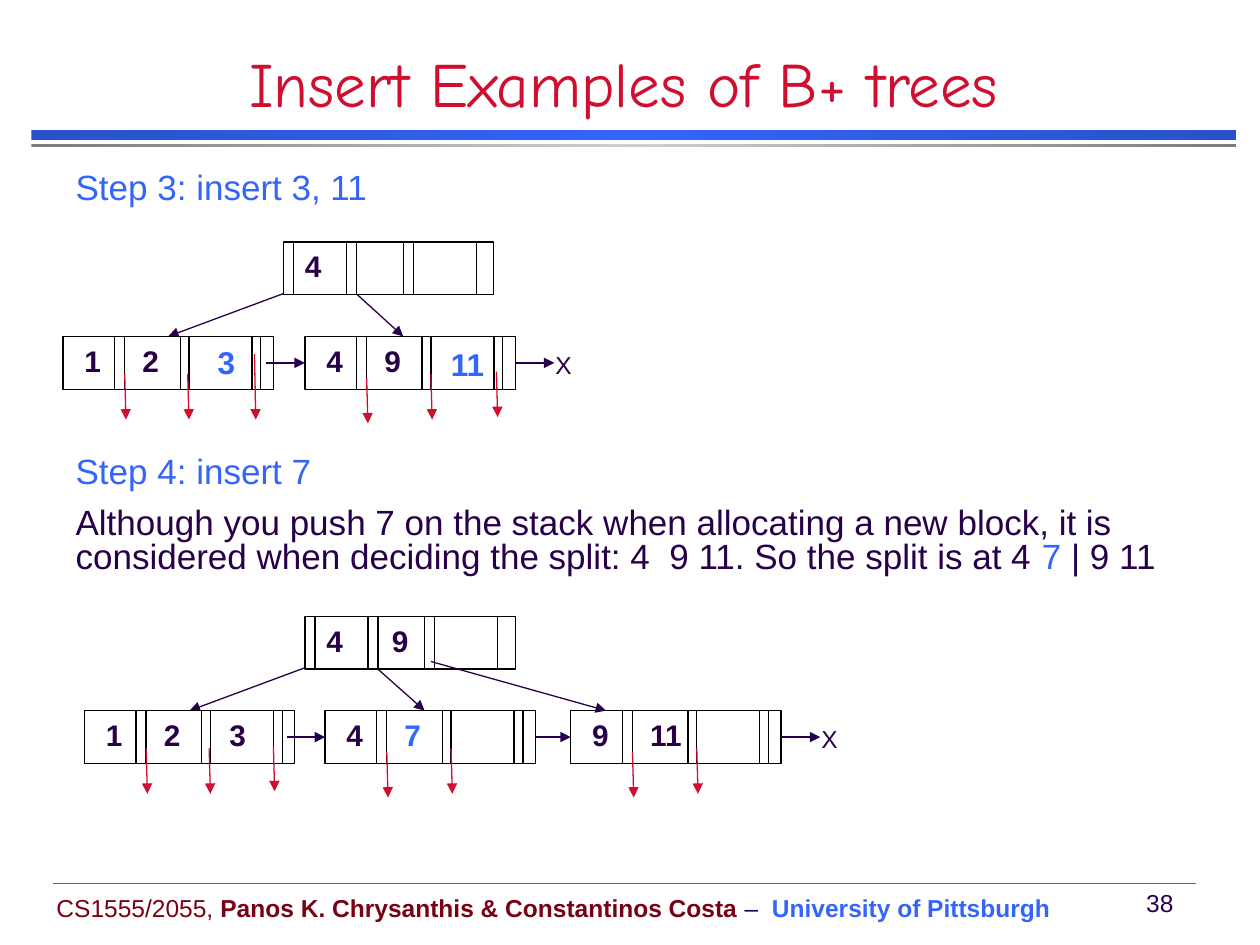
from copy import deepcopy

from lxml import etree
from pptx import Presentation
from pptx.dml.color import RGBColor
from pptx.enum.shapes import MSO_CONNECTOR as CONNECTOR, MSO_SHAPE as SHAPE
from pptx.enum.text import MSO_ANCHOR as ANCHOR, MSO_AUTO_SIZE as AUTOSIZE, PP_ALIGN as ALIGN
from pptx.oxml.ns import qn
from pptx.util import Inches, Pt

INK, BLUE, RED, MAROON = "280049", "3365FB", "CF0E30", "790015"
BLACK, WHITE, TEAL, KEY_BLUE = "000000", "FFFFFF", "009688", "3366FF"

NODE_W, NODE_H = 1.67, 0.42
LEVEL_GAP = 0.75
KEY_INSET = 0.17
LEAF_TABS, ROOT_TABS = (0.46, 0.98), (0.52,)
LEAF_DIVIDERS = (0.41, 0.49, 0.93, 1.0, 1.5, 1.57)
ROOT_DIVIDERS = (0.08, 0.5, 0.58, 0.95, 1.03, 1.53)
RIGHT, LEFT, TOP = 3, 1, 0


def rgb(color):
    return RGBColor.from_string(color)


class TreeSlide:
    """Holds the slide and the style of its text, nodes and arrows."""

    def __init__(self, slide, font="Arial"):
        self.slide = slide
        self.shapes = slide.shapes
        self.font = font

    def place(self, shape, x, y, w, h):
        shape.left, shape.top, shape.width, shape.height = map(Inches, (x, y, w, h))

    def style(self, paragraph, size, color=None, bold=False, font=None):
        paragraph.font.name = font or self.font
        paragraph.font.size = Pt(size)
        paragraph.font.bold = bold
        if color:
            paragraph.font.color.rgb = rgb(color)

    def add_runs(self, paragraph, runs):
        """Each run is (text, color) or (text, color, bold)."""
        for text, color, *bold in runs:
            run = paragraph.add_run()
            run.text = text
            run.font.color.rgb = rgb(color)
            if bold:
                run.font.bold = bold[0]

    def title(self, text, at):
        title = self.shapes.title
        self.place(title, *at)
        frame = title.text_frame
        frame.text = text
        frame.auto_size = AUTOSIZE.NONE
        frame.vertical_anchor = ANCHOR.BOTTOM
        frame.paragraphs[0].alignment = ALIGN.CENTER
        self.style(frame.paragraphs[0], 36, RED, font="Comic Neue")

    def body(self, index, at, *paragraphs):
        body = self.slide.placeholders[index]
        self.place(body, *at)
        frame = body.text_frame
        frame.auto_size = AUTOSIZE.NONE
        for number, runs in enumerate(paragraphs):
            paragraph = frame.add_paragraph() if number else frame.paragraphs[0]
            properties = paragraph._p.get_or_add_pPr()
            properties.set("marL", "0")
            properties.set("indent", "0")
            etree.SubElement(properties, qn("a:buNone"))
            paragraph.line_spacing = 0.8
            paragraph.space_before = Pt(10 if number else 0)
            self.style(paragraph, 20)
            self.add_runs(paragraph, runs)

    def text(self, at, runs, size, bold=False, wrap=False, align=None, anchor=ANCHOR.TOP):
        box = self.shapes.add_textbox(*map(Inches, at))
        frame = box.text_frame
        frame.word_wrap = wrap
        frame.vertical_anchor = anchor
        paragraph = frame.paragraphs[0]
        paragraph.alignment = align
        self.style(paragraph, size, bold=bold)
        self.add_runs(paragraph, runs)

    def gradient_bar(self, at, edge, middle):
        bar = self.shapes.add_shape(SHAPE.RECTANGLE, *map(Inches, at))
        bar.shadow.inherit = False
        bar.line.fill.background()
        bar.fill.gradient()
        bar.fill.gradient_angle = 0
        stop_list = bar._element.spPr.find(".//" + qn("a:gsLst"))
        stop_list.append(deepcopy(stop_list[0]))
        for stop, position, color in zip(bar.fill.gradient_stops, (0, 0.5, 1), (edge, middle, edge)):
            stop.position = position
            stop.color.rgb = rgb(color)

    def line(self, x1, y1, x2, y2, color=BLACK, width=0.75, arrow=False):
        line = self.shapes.add_connector(CONNECTOR.STRAIGHT, *map(Inches, (x1, y1, x2, y2)))
        line.line.color.rgb = rgb(color)
        line.line.width = Pt(width)
        if arrow:
            etree.SubElement(line.line._get_or_add_ln(), qn("a:tailEnd"), type="triangle")
        etree.SubElement(line._element.spPr, qn("a:effectLst"))
        return line

    def node(self, x, y, keys, dividers, tabs):
        node = self.shapes.add_shape(SHAPE.RECTANGLE, *map(Inches, (x, y, NODE_W, NODE_H)))
        node.shadow.inherit = False
        node.fill.solid()
        node.fill.fore_color.rgb = rgb(WHITE)
        node.line.color.rgb = rgb(BLACK)
        node.line.width = Pt(0.75)
        frame = node.text_frame
        frame.margin_left = Inches(KEY_INSET)
        frame.vertical_anchor = ANCHOR.TOP
        paragraph = frame.paragraphs[0]
        paragraph.alignment = ALIGN.LEFT
        tab_list = etree.SubElement(paragraph._p.get_or_add_pPr(), qn("a:tabLst"))
        for tab in tabs:
            etree.SubElement(tab_list, qn("a:tab"), pos=str(Inches(tab)), algn="l")
        self.style(paragraph, 17, bold=True)
        self.add_runs(paragraph, keys)
        for dx in dividers:
            self.line(x + dx, y, x + dx, y + NODE_H)
        return node

    def tree(self, root, leaves, child_pointers):
        """root is (x, y, keys); a leaf is (x, keys, data pointers)."""
        root_x, root_y, root_keys = root
        leaf_y = root_y + LEVEL_GAP
        pointers = [self.line(x1, root_y + dy, x2, leaf_y, INK, arrow=True)
                    for x1, dy, x2 in child_pointers[:2]]
        nodes = [self.node(x, leaf_y, keys, LEAF_DIVIDERS, LEAF_TABS) for x, keys, _ in leaves]
        self.node(root_x, root_y, root_keys, ROOT_DIVIDERS, ROOT_TABS)
        pointers[0].end_connect(nodes[0], TOP)
        for x1, dy, x2 in child_pointers[2:]:
            self.line(x1, root_y + dy, x2, leaf_y, INK, arrow=True)

        middle = leaf_y + NODE_H / 2
        for index, (x, _, data_pointers) in enumerate(leaves):
            start = x + (NODE_W if index else 1.61)
            link = self.line(start, middle, start + 0.31, middle, INK, arrow=True)
            if index:
                link.begin_connect(nodes[index], RIGHT)
            if index + 1 < len(nodes):
                link.end_connect(nodes[index + 1], LEFT)
            for dx, top, bottom in data_pointers:
                self.line(x + dx, leaf_y + top, x + dx + 0.01, leaf_y + bottom, RED, arrow=True)
        self.text((leaves[-1][0] + 1.89, leaf_y + 0.06, 0.33, 0.32), [("X", INK)], 14)


def main():
    deck = Presentation()
    deck.slide_width, deck.slide_height = Inches(10), Inches(7.5)
    page = TreeSlide(deck.slides.add_slide(deck.slide_layouts[3]))

    page.gradient_bar((0.25, 1.03, 9.56, 0.08), "2951C9", BLUE)
    page.gradient_bar((0.25, 1.14, 9.56, 0.03), "7C7C7C", "CECECE")
    page.text((0.35, 7.04, 8.5, 0.33),
              [("CS1555/2055, ", MAROON), ("Panos K. Chrysanthis & Constantinos Costa", MAROON, True),
               (" –  ", INK), ("University of Pittsburgh", BLUE, True)],
              14, wrap=True, anchor=ANCHOR.MIDDLE)
    page.text((8.96, 7, 0.49, 0.33), [("38", INK)], 14, align=ALIGN.CENTER, anchor=ANCHOR.MIDDLE)
    page.line(0.42, 7.01, 9.49, 7.01, TEAL, 0.25)

    page.title("Insert Examples of B+ trees", (0, 0.42, 9.9, 0.58))
    page.body(1, (0.5, 1.33, 8.92, 0.38), [("Step 3: insert 3, 11", BLUE)])
    page.body(2, (0.5, 3.58, 8.92, 1.09),
              [("Step 4: insert 7", BLUE)],
              [("Although you push 7 on the stack when allocating a new block, it is considered "
                "when deciding the split: 4  9 11. So the split is at 4 ", INK),
               ("7", KEY_BLUE), (" | 9 11", INK)])

    first_two = [(0.49, 0.3, 0.66), (0.99, 0.3, 0.66)]
    lowered_two = [(0.49, 0.33, 0.69), (1.0, 0.3, 0.66)]
    page.tree((2.25, 1.92, [("4", INK)]),
              [(0.5, [("1\t2", INK)], first_two + [(1.52, 0.14, 0.66)]),
               (2.42, [("4\t9", INK)], lowered_two + [(1.52, 0.28, 0.64)])],
              [(2.33, 0.38, 1.33), (2.76, 0.35, 3.2)])
    page.text((1.63, 2.67, 0.34, 0.4), [("3", BLUE)], 18, bold=True)
    page.text((3.48, 2.69, 0.47, 0.4), [("11", BLUE)], 18, bold=True)

    page.tree((2.42, 4.89, [("4\t9", INK)]),
              [(0.67, [("1\t2\t3", INK)], first_two + [(1.5, 0.28, 0.64)]),
               (2.58, [("4\t", INK), ("7", KEY_BLUE)], lowered_two),
               (4.53, [("9\t11", INK)], lowered_two)],
              [(2.5, 0.38, 1.5), (2.92, 0.35, 3.37), (3.42, 0.36, 4.81)])

    deck.save("out.pptx")


if __name__ == "__main__":
    main()
